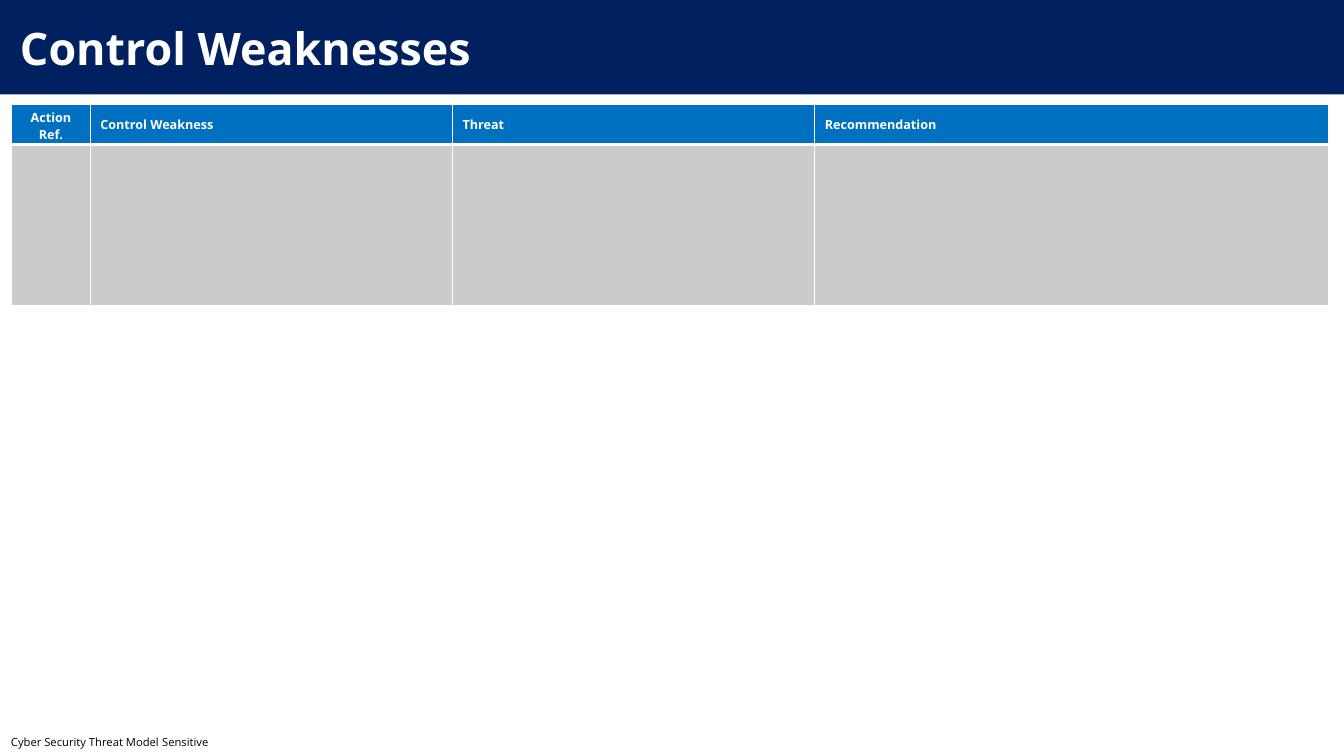
from dataclasses import dataclass

from lxml.etree import SubElement
from pptx import Presentation
from pptx.dml.color import RGBColor
from pptx.enum.text import MSO_ANCHOR as Anchor, MSO_AUTO_SIZE as AutoSize, PP_ALIGN as Align
from pptx.oxml.ns import qn
from pptx.util import Emu, Pt

FONT = "Open Sans"
NAVY = RGBColor(0x00, 0x20, 0x60)
BLUE = RGBColor(0x00, 0x70, 0xC0)
GREY = RGBColor(0xCB, 0xCB, 0xCB)
WHITE = RGBColor(0xFF, 0xFF, 0xFF)
BLACK = RGBColor(0x00, 0x00, 0x00)

SLIDE_WIDTH, SLIDE_HEIGHT = 1280, 720
HEADER_HEIGHT, BODY_HEIGHT = 31, 154


@dataclass(frozen=True)
class Column:
    heading: str
    width: int
    align: Align = Align.LEFT


COLUMNS = [
    Column("Action Ref.", 75, Align.CENTER),
    Column("Control Weakness", 345),
    Column("Threat", 345),
    Column("Recommendation", 489),
]


def px(length: int) -> Emu:
    return Emu(length * 9525)


def place(shape, left: int, top: int, width: int, height: int) -> None:
    shape.left, shape.top = px(left), px(top)
    shape.width, shape.height = px(width), px(height)


def style(paragraph, size: int, color: RGBColor, bold: bool = False) -> None:
    font = paragraph.font
    font.name, font.size, font.bold = FONT, Pt(size), bold
    font.color.rgb = color


def add_border(cell, side: str, points: int) -> None:
    line = SubElement(cell._tc.get_or_add_tcPr(), qn(f"a:ln{side}"), w=str(Pt(points)))
    fill = SubElement(line, qn("a:solidFill"))
    SubElement(fill, qn("a:srgbClr"), val=str(WHITE))


def format_cell(cell, color: RGBColor, top: int, bottom: int) -> None:
    for side, points in (("L", 1), ("R", 1), ("T", top), ("B", bottom)):
        add_border(cell, side, points)
    cell.fill.solid()
    cell.fill.fore_color.rgb = color
    cell.vertical_anchor = Anchor.MIDDLE


def add_title(slide) -> None:
    title = slide.shapes.title
    place(title, 0, 0, SLIDE_WIDTH, 90)
    title.fill.solid()
    title.fill.fore_color.rgb = NAVY
    frame = title.text_frame
    frame.text = "Control Weaknesses"
    frame.auto_size = AutoSize.NONE
    frame.vertical_anchor = Anchor.MIDDLE
    frame.margin_left = px(19)
    frame.paragraphs[0].alignment = Align.LEFT
    style(frame.paragraphs[0], 32, WHITE, bold=True)


def add_footer(slide) -> None:
    footer = slide.shapes.add_textbox(0, px(694), px(SLIDE_WIDTH), px(26))
    frame = footer.text_frame
    frame.word_wrap = True
    frame.vertical_anchor = Anchor.MIDDLE
    paragraph = frame.paragraphs[0]
    paragraph.text = "Cyber Security Threat Model\tSensitive"
    # Right-aligned tab for the classification
    properties = paragraph._p.get_or_add_pPr()
    properties.set("marL", str(px(1)))
    properties.set("indent", "0")
    tabs = SubElement(properties, qn("a:tabLst"))
    SubElement(tabs, qn("a:tab"), pos=str(px(1255)), algn="r")
    style(paragraph, 8, BLACK)


def add_weaknesses(slide) -> None:
    width = sum(column.width for column in COLUMNS)
    table = slide.shapes.add_table(
        2, len(COLUMNS), px(11), px(99), px(width), px(HEADER_HEIGHT + BODY_HEIGHT)
    ).table
    table.rows[0].height = px(HEADER_HEIGHT)
    table.rows[1].height = px(BODY_HEIGHT)
    for index, column in enumerate(COLUMNS):
        table.columns[index].width = px(column.width)
        heading, body = table.cell(0, index), table.cell(1, index)
        format_cell(heading, BLUE, top=1, bottom=3)
        format_cell(body, GREY, top=3, bottom=1)
        heading.text = column.heading
        paragraph = heading.text_frame.paragraphs[0]
        paragraph.alignment = column.align
        style(paragraph, 9, WHITE, bold=True)


def main() -> None:
    deck = Presentation()
    deck.slide_width, deck.slide_height = px(SLIDE_WIDTH), px(SLIDE_HEIGHT)
    slide = deck.slides.add_slide(deck.slide_layouts[5])
    add_title(slide)
    add_footer(slide)
    add_weaknesses(slide)
    deck.save("out.pptx")


if __name__ == "__main__":
    main()
